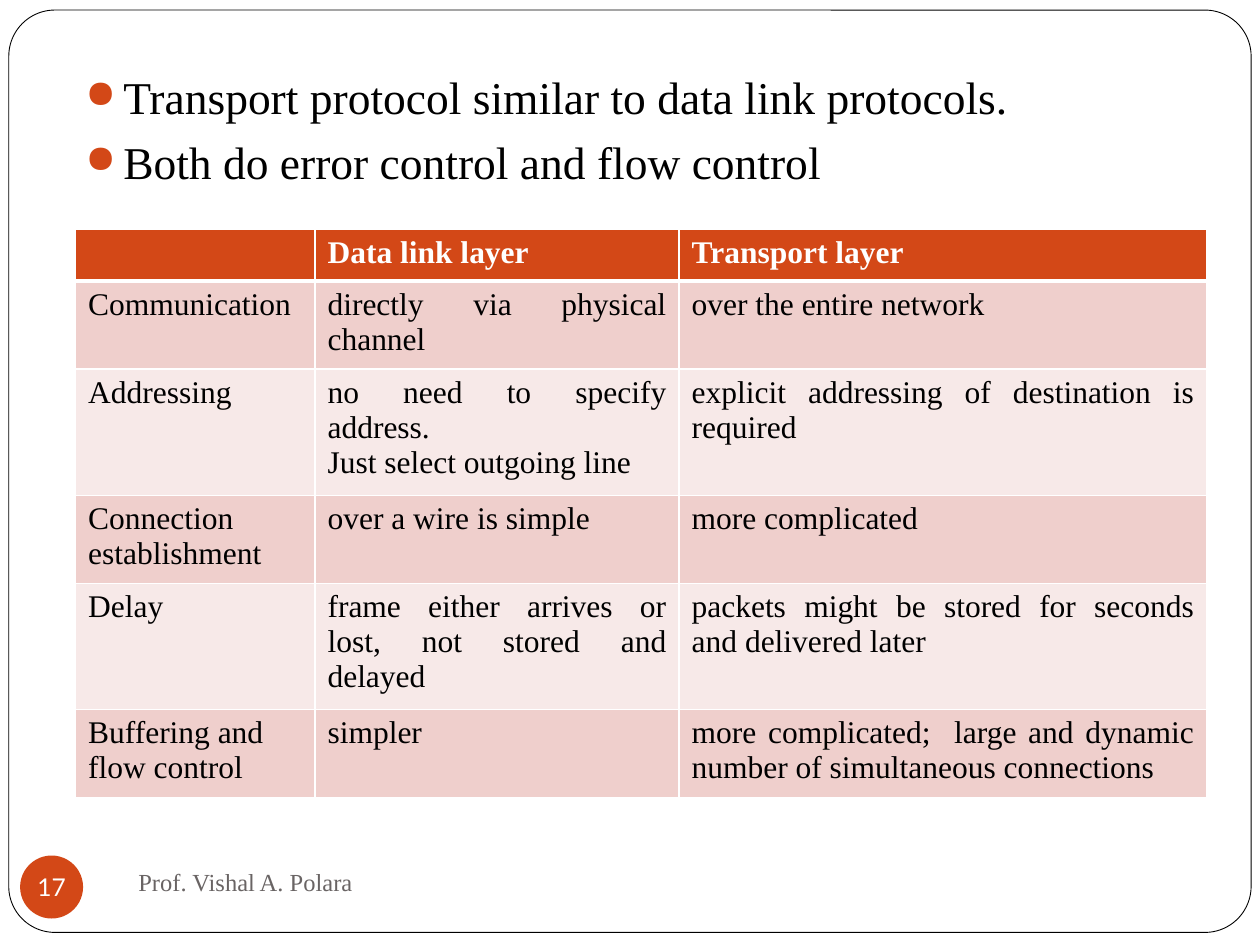
from dataclasses import dataclass

import pptx
import pptx.dml.color
import pptx.enum.shapes
import pptx.enum.text
import pptx.oxml
import pptx.oxml.ns
import pptx.util

Inches = pptx.util.Inches
Pt = pptx.util.Pt
RGBColor = pptx.dml.color.RGBColor
ALIGN = pptx.enum.text.PP_ALIGN
SHAPE = pptx.enum.shapes.MSO_SHAPE
MIDDLE = pptx.enum.text.MSO_ANCHOR.MIDDLE

WHITE = RGBColor(0xFF, 0xFF, 0xFF)
BLACK = RGBColor(0, 0, 0)
ORANGE = RGBColor(0xD3, 0x48, 0x17)
GRAY = RGBColor(0x69, 0x64, 0x64)
BAND_DARK = RGBColor(0xEF, 0xCF, 0xCC)
BAND_LIGHT = RGBColor(0xF7, 0xE9, 0xE8)

SERIF = "Times New Roman"
BULLET_FONT = {"name": SERIF, "size": Pt(26), "color": BLACK}
HEADER_FONT = {"name": SERIF, "size": Pt(18), "bold": True, "color": WHITE}
BODY_FONT = {"name": SERIF, "size": Pt(18), "bold": False, "color": BLACK}
FOOTER_FONT = {"name": SERIF, "size": Pt(14), "color": GRAY}
NUMBER_FONT = {"name": "Lato", "size": Pt(14), "color": WHITE}


@dataclass
class Box:
    left: float
    top: float
    width: float
    height: float

    def emu(self) -> tuple:
        return tuple(Inches(v) for v in (self.left, self.top, self.width, self.height))


@dataclass
class Row:
    topic: str
    data_link: str
    transport: str
    aligns: tuple = (ALIGN.JUSTIFY,) * 3


COLUMN_WIDTHS = (1.9, 2.89, 4.19)
ROW_HEIGHT = 0.41
TABLE_BOX = Box(0.6, 1.82, 8.98, 4.51)
ROWS = [
    Row("", "Data link layer", "Transport layer"),
    Row("Communication", "directly via physical channel", "over the entire network"),
    Row("Addressing", "no need to specify address.\nJust select outgoing line",
        "explicit addressing of destination is required"),
    Row("Connection\nestablishment", "over a wire is simple", "more complicated"),
    Row("Delay", "frame either arrives or lost, not stored and delayed",
        "packets might be stored for seconds and delivered later"),
    Row("Buffering and\nflow control", "simpler",
        "more complicated;  large and dynamic number of simultaneous connections",
        (ALIGN.LEFT, ALIGN.LEFT, ALIGN.JUSTIFY)),
]
BULLETS = "Transport protocol similar to data link protocols.\nBoth do error control and flow control"


def write_text(tf, text: str, fmt: dict, align=ALIGN.LEFT) -> None:
    for i, line in enumerate(text.split("\n")):
        p = tf.paragraphs[0] if i == 0 else tf.add_paragraph()
        p.alignment = align
        r = p.add_run()
        r.text = line
        for key, value in fmt.items():
            if key == "color":
                r.font.color.rgb = value
            else:
                setattr(r.font, key, value)


def add_preset(s, kind, box: Box, fill: RGBColor):
    sp = s.shapes.add_shape(kind, *box.emu())
    sp.shadow.inherit = False
    sp.fill.solid()
    sp.fill.fore_color.rgb = fill
    sp.line.fill.background()
    return sp


def add_text(s, box: Box, text: str, fmt: dict, align=ALIGN.LEFT):
    tf = s.shapes.add_textbox(*box.emu()).text_frame
    tf.word_wrap = True
    write_text(tf, text, fmt, align)
    return tf


def add_bullet(p) -> None:
    p.space_before = Pt(5.8)
    pPr = p._p.get_or_add_pPr()
    pPr.set("marL", str(Inches(0.3)))
    pPr.set("indent", str(Inches(-0.3)))
    ns = pptx.oxml.ns.nsdecls("a")
    for xml in (
        f'<a:buClr {ns}><a:srgbClr val="{ORANGE}"/></a:buClr>',
        f'<a:buSzPct {ns} val="85000"/>',
        f'<a:buChar {ns} char="●"/>',
    ):
        pPr.append(pptx.oxml.parse_xml(xml))


def set_borders(cell, widths: dict) -> None:
    ns = pptx.oxml.ns.nsdecls("a")
    tcPr = cell._tc.get_or_add_tcPr()
    for i, (side, width) in enumerate(widths.items()):
        tcPr.insert(i, pptx.oxml.parse_xml(
            f'<a:ln{side} {ns} w="{Pt(width)}"><a:solidFill>'
            f'<a:srgbClr val="{WHITE}"/></a:solidFill></a:ln{side}>'))


def add_comparison(s) -> None:
    frame = s.shapes.add_table(len(ROWS), len(COLUMN_WIDTHS), *TABLE_BOX.emu())
    table = frame.table
    for column, width in zip(table.columns, COLUMN_WIDTHS):
        column.width = Inches(width)
    for i, row in enumerate(ROWS):
        table.rows[i].height = Inches(ROW_HEIGHT)
        header = i == 0
        fill = ORANGE if header else (BAND_LIGHT, BAND_DARK)[i % 2]
        borders = {"L": 1, "R": 1, "T": 3 if i == 1 else 1, "B": 3 if header else 1}
        texts = (row.topic, row.data_link, row.transport)
        for cell, text, align in zip(table.rows[i].cells, texts, row.aligns):
            cell.fill.solid()
            cell.fill.fore_color.rgb = fill
            set_borders(cell, borders)
            if text:
                write_text(cell.text_frame, text, HEADER_FONT if header else BODY_FONT, align)
    frame.height = Inches(TABLE_BOX.height)


def main() -> None:
    prs = pptx.Presentation()
    prs.slide_width, prs.slide_height = Inches(10), Inches(7.5)
    s = prs.slides.add_slide(prs.slide_layouts[6])

    border = add_preset(s, SHAPE.ROUNDED_RECTANGLE, Box(0.07, 0.08, 9.86, 7.32), WHITE)
    border.adjustments[0] = 0.05
    border.line.color.rgb = BLACK
    border.line.width = Pt(0.5)

    footer = add_text(s, Box(1, 6.75, 4.33, 0.5), "Prof. Vishal A. Polara", FOOTER_FONT)
    footer.vertical_anchor = MIDDLE

    tf = add_preset(s, SHAPE.OVAL, Box(0.16, 6.79, 0.5, 0.5), ORANGE).text_frame
    for side in ("left", "top", "right", "bottom"):
        setattr(tf, f"margin_{side}", 0)
    tf.word_wrap = False
    tf.vertical_anchor = MIDDLE
    write_text(tf, "17", NUMBER_FONT, ALIGN.CENTER)

    add_comparison(s)

    points = add_text(s, Box(0.58, 0.5, 9.08, 5), BULLETS, BULLET_FONT, ALIGN.JUSTIFY)
    for p in points.paragraphs:
        add_bullet(p)

    prs.save("out.pptx")


if __name__ == "__main__":
    main()
